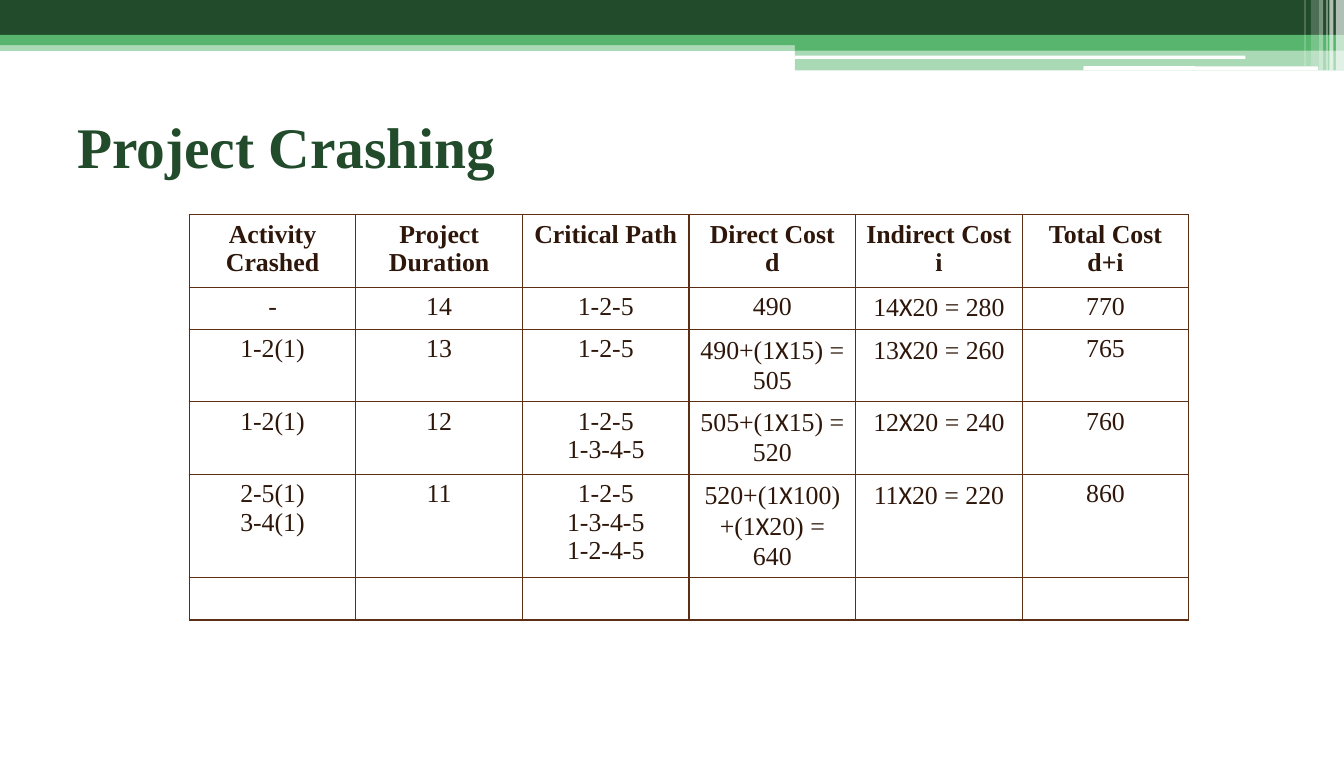
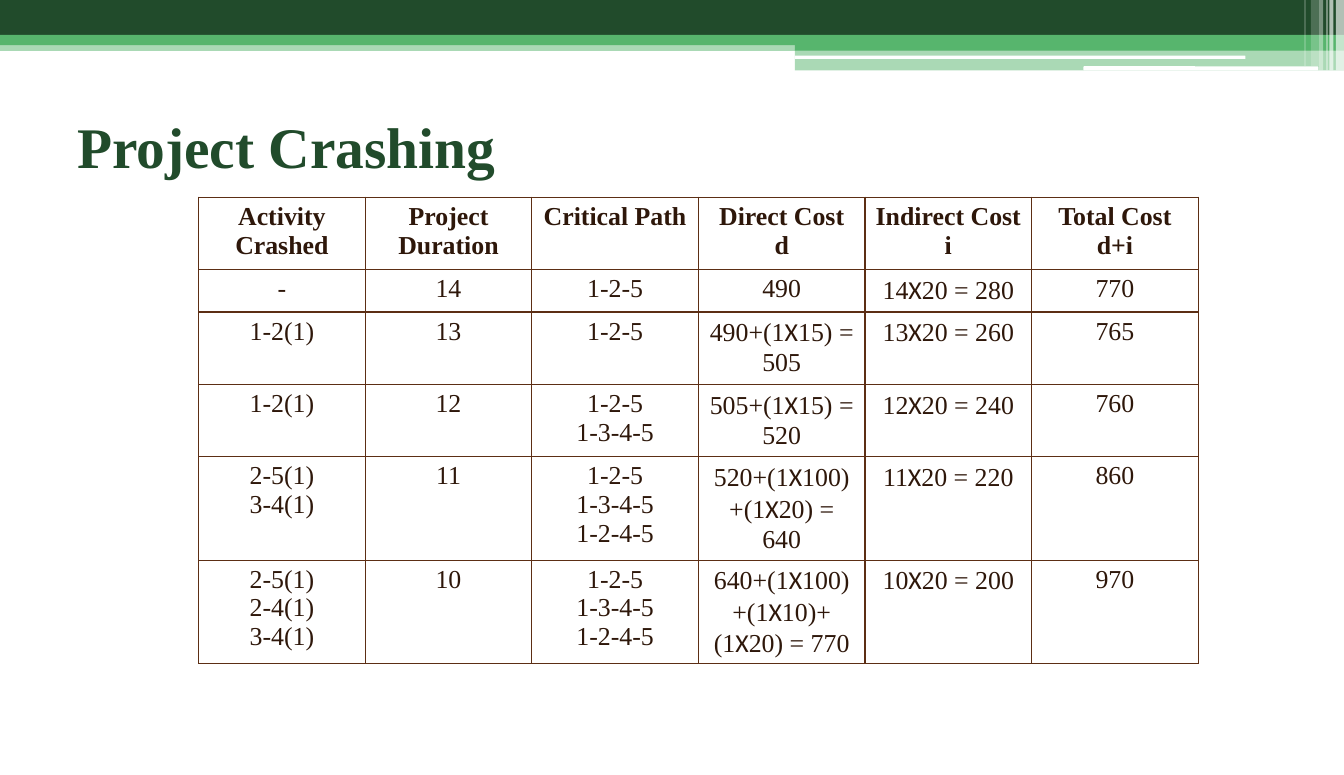
from lxml.etree import SubElement
from pptx import Presentation
from pptx.dml.color import RGBColor as RGB
from pptx.enum.shapes import MSO_SHAPE as PRESET
from pptx.enum.text import PP_ALIGN as ALIGN
from pptx.oxml.ns import qn
from pptx.util import Cm, Pt

COLORS = {
    "dark": "214B2B",
    "green": "57B56D",
    "white": "FFFFFF",
    "ink": "2E170A",
    "border": "5C2E14",
}
SERIF = "Times New Roman"
TIMES_SIGN_FONT = "Calibri"

BANDS = [
    (PRESET.RECTANGLE, 0, 1.02, 33.02, 0.23, "green", 50),
    (PRESET.RECTANGLE, 0, 0, 33.02, 0.86, "dark", 100),
    (PRESET.RECTANGLE, 0, 0.86, 33.02, 0.25, "green", 100),
    (PRESET.RECTANGLE, 19.53, 0.99, 13.49, 0.25, "green", 100),
    (PRESET.RECTANGLE, 19.53, 1.22, 13.49, 0.51, "green", 50),
    (PRESET.ROUNDED_RECTANGLE, 19.53, 1.37, 11.07, 0.08, "white", 100),
    (PRESET.ROUNDED_RECTANGLE, 26.62, 1.63, 5.77, 0.1, "white", 100),
]
STRIPES = [
    (32.82, 0.2, 1.73, 65),
    (32.66, 0.1, 1.73, 65),
    (32.59, 0.03, 1.73, 60),
    (32.41, 0.1, 1.73, 40),
    (32.21, 0.2, 1.63, 20),
    (32.05, 0.03, 1.63, 30),
]
BANDS += [
    (PRESET.RECTANGLE, left, 0, width, height, "white", opacity)
    for left, width, height, opacity in STRIPES
]

HEADER = ["Activity Crashed", "Project Duration", "Critical Path",
          "Direct Cost\nd", "Indirect Cost\ni", "Total Cost\nd+i"]
CRASH_STEPS = [
    ["-", "14", "1-2-5", "490", "14X20 = 280", "770"],
    ["1-2(1)", "13", "1-2-5", "490+(1X15) = 505", "13X20 = 260", "765"],
    ["1-2(1)", "12", "1-2-5\n1-3-4-5", "505+(1X15) = 520", "12X20 = 240", "760"],
    ["2-5(1)\n3-4(1)", "11", "1-2-5\n1-3-4-5\n1-2-4-5",
     "520+(1X100)+(1X20) = 640", "11X20 = 220", "860"],
]
LAST_STEP = ["2-5(1)\n2-4(1)\n3-4(1)", "10", "1-2-5\n1-3-4-5\n1-2-4-5",
             "640+(1X100)+(1X10)+ (1X20) = 770", "10X20 = 200", "970"]
PAGES = [
    (4.65, 5.28, [""] * len(HEADER)),
    (4.88, 4.85, LAST_STEP),
]
TABLE_WIDTH = 24.56
ROW_HEIGHT = 1.04


def set_font(paragraph, size, color, bold):
    font = paragraph.font
    font.name = SERIF
    font.size = Pt(size)
    font.bold = bold
    font.color.rgb = RGB.from_string(COLORS[color])


def fill_cell(cell, text, bold):
    props = cell._tc.get_or_add_tcPr()
    for side in ("a:lnL", "a:lnR", "a:lnT", "a:lnB"):
        edge = SubElement(props, qn(side), w=str(Pt(1)))
        solid = SubElement(edge, qn("a:solidFill"))
        SubElement(solid, qn("a:srgbClr"), val=COLORS["border"])
    cell.fill.background()
    frame = cell.text_frame
    for index, line in enumerate(text.split("\n")):
        paragraph = frame.add_paragraph() if index else frame.paragraphs[0]
        paragraph.alignment = ALIGN.CENTER
        set_font(paragraph, 18, "ink", bold)
        for part_index, part in enumerate(line.split("X")):
            if part_index:
                times_sign = paragraph.add_run()
                times_sign.text = "X"
                times_sign.font.name = TIMES_SIGN_FONT
            if part:
                paragraph.add_run().text = part


prs = Presentation()
prs.slide_width = Cm(33.02)
prs.slide_height = Cm(19.05)

for table_left, table_top, final_row in PAGES:
    slide = prs.slides.add_slide(prs.slide_layouts[6])

    for preset, left, top, width, height, color, opacity in BANDS:
        band = slide.shapes.add_shape(preset, Cm(left), Cm(top), Cm(width), Cm(height))
        band.shadow.inherit = False
        band.line.fill.background()
        band.fill.solid()
        band.fill.fore_color.rgb = RGB.from_string(COLORS[color])
        if opacity < 100:
            tint = band.element.spPr.find(".//" + qn("a:srgbClr"))
            SubElement(tint, qn("a:alpha"), val=str(opacity * 1000))

    heading = slide.shapes.add_textbox(Cm(1.65), Cm(2.41), Cm(29.72), Cm(2.97)).text_frame
    heading.word_wrap = True
    heading.margin_top = Cm(0.33)
    heading.paragraphs[0].text = "Project Crashing"
    set_font(heading.paragraphs[0], 40, "dark", True)

    rows = [HEADER, *CRASH_STEPS, final_row]
    costs = slide.shapes.add_table(
        len(rows), len(HEADER), Cm(table_left), Cm(table_top),
        Cm(TABLE_WIDTH), Cm(ROW_HEIGHT * len(rows))).table
    costs.first_row = False
    costs.horz_banding = False
    for row_index, row in enumerate(rows):
        for column_index, text in enumerate(row):
            fill_cell(costs.cell(row_index, column_index), text, row_index == 0)

prs.save("out.pptx")
